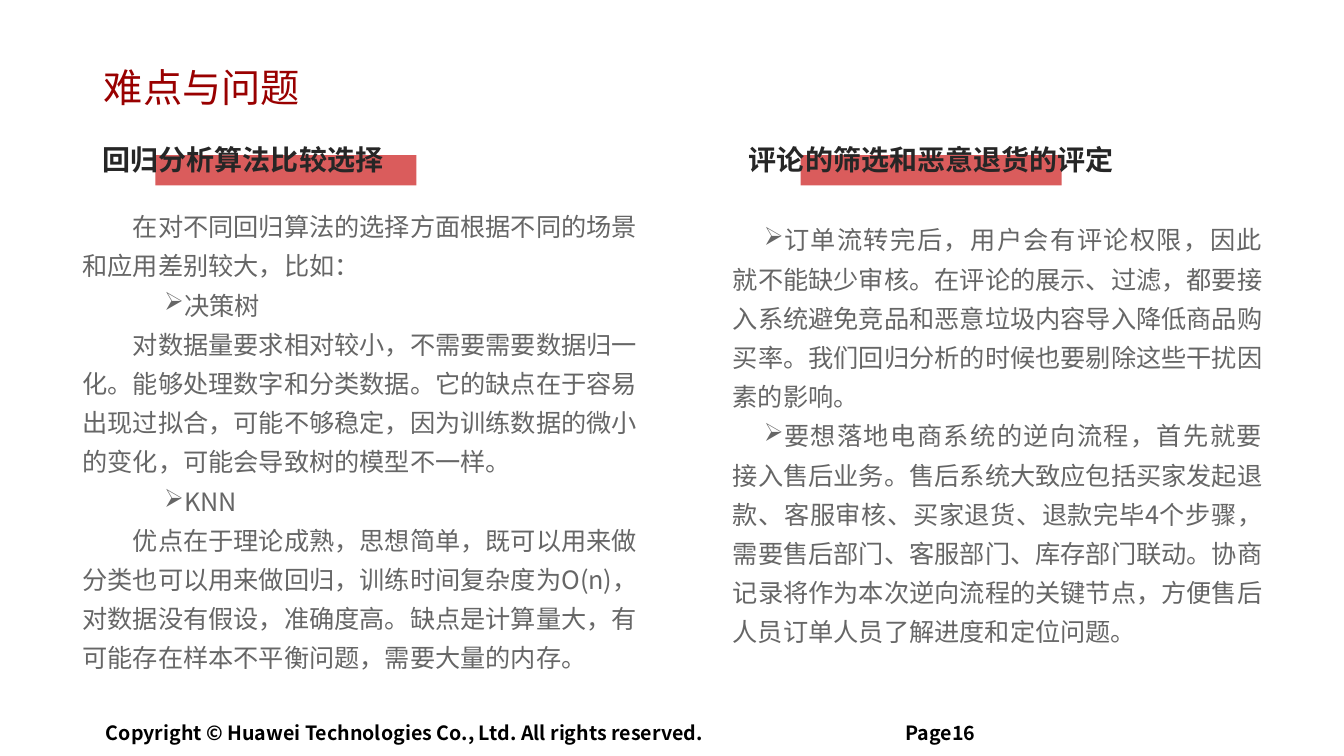
from pptx import Presentation
from pptx.dml.color import RGBColor
from pptx.enum.shapes import MSO_SHAPE
from pptx.enum.text import MSO_ANCHOR, MSO_AUTO_SIZE, PP_ALIGN
from pptx.oxml.ns import qn
from pptx.util import Inches, Pt
from lxml.etree import SubElement

FONT = "Noto Sans CJK SC"
TITLE_RED = RGBColor(0x99, 0x00, 0x00)
BAND_RED = RGBColor(0xDA, 0x5C, 0x5C)
HEADING_GREY = RGBColor(0x26, 0x26, 0x26)
BODY_GREY = RGBColor(0x66, 0x66, 0x66)
BLACK = RGBColor(0x00, 0x00, 0x00)

REGRESSION = [
    ("在对不同回归算法的选择方面根据不同的场景和应用差别较大，比如：", False),
    ("决策树", True),
    ("对数据量要求相对较小，不需要需要数据归一化。能够处理数字和分类数据。"
     "它的缺点在于容易出现过拟合，可能不够稳定，因为训练数据的微小的变化，"
     "可能会导致树的模型不一样。", False),
    ("KNN", True),
    ("优点在于理论成熟，思想简单，既可以用来做分类也可以用来做回归，"
     "训练时间复杂度为O(n)，对数据没有假设，准确度高。缺点是计算量大，"
     "有可能存在样本不平衡问题，需要大量的内存。", False),
]
REVIEWS = [
    ("订单流转完后，用户会有评论权限，因此就不能缺少审核。在评论的展示、过滤，"
     "都要接入系统避免竞品和恶意垃圾内容导入降低商品购买率。"
     "我们回归分析的时候也要剔除这些干扰因素的影响。", True),
    ("要想落地电商系统的逆向流程，首先就要接入售后业务。售后系统大致应包括"
     "买家发起退款、客服审核、买家退货、退款完毕4个步骤，需要售后部门、"
     "客服部门、库存部门联动。协商记录将作为本次逆向流程的关键节点，"
     "方便售后人员订单人员了解进度和定位问题。", True),
]


class SlideBuilder:
    def __init__(self, slide):
        self.slide = slide

    def style(self, paragraph, size, color, bold=False):
        font = paragraph.font
        font.name, font.size, font.bold = FONT, Pt(size), bold
        font.color.rgb = color
        defaults = paragraph._p.pPr.find(qn("a:defRPr"))
        SubElement(defaults, qn("a:ea")).set("typeface", FONT)

    def set_margins(self, frame):
        frame.margin_left = frame.margin_right = Inches(0.09)
        frame.margin_top = frame.margin_bottom = Inches(0.04)

    def title(self, text):
        title = self.slide.shapes.title
        title.left, title.top = Inches(0.94), Inches(0.39)
        title.width, title.height = Inches(11.58), Inches(0.95)
        frame = title.text_frame
        frame.text = text
        frame.auto_size = MSO_AUTO_SIZE.NONE
        frame.vertical_anchor = MSO_ANCHOR.MIDDLE
        self.set_margins(frame)
        paragraph = frame.paragraphs[0]
        paragraph.alignment = PP_ALIGN.LEFT
        self.style(paragraph, 28, TITLE_RED)

    def footer(self, text, left, width):
        box = self.slide.shapes.add_textbox(
            Inches(left), Inches(7.11), Inches(width), Inches(0.32))
        frame = box.text_frame
        frame.text = text
        frame.word_wrap = False
        self.set_margins(frame)
        self.style(frame.paragraphs[0], 14, BLACK, bold=True)

    def heading(self, text, left, width, band_left):
        """Place a bold heading over the red band behind it."""
        group = self.slide.shapes.add_group_shape()
        band = group.shapes.add_shape(
            MSO_SHAPE.RECTANGLE, Inches(band_left), Inches(1.54),
            Inches(2.59), Inches(0.3))
        band.shadow.inherit = False
        band.fill.solid()
        band.fill.fore_color.rgb = BAND_RED
        band.line.fill.background()
        label = group.shapes.add_textbox(
            Inches(left), Inches(1.36), Inches(width), Inches(0.44))
        frame = label.text_frame
        frame.text = text
        frame.word_wrap = True
        self.style(frame.paragraphs[0], 20, HEADING_GREY, bold=True)

    def body(self, items, left, top, height, indent, alignment):
        box = self.slide.shapes.add_textbox(
            Inches(left), Inches(top), Inches(5.76), Inches(height))
        frame = box.text_frame
        frame.word_wrap = True
        frame.text = "\n".join(text for text, _ in items)
        for paragraph, (_, bulleted) in zip(frame.paragraphs, items):
            paragraph.alignment = alignment
            paragraph.line_spacing = Pt(28)
            properties = paragraph._p.get_or_add_pPr()
            properties.set("marL", str(Inches(0.31 if bulleted else 0)))
            properties.set("indent", str(Inches(indent)))
            if bulleted:
                SubElement(properties, qn("a:buChar")).set("char", "➢")
            self.style(paragraph, 18, BODY_GREY)


def main():
    presentation = Presentation()
    presentation.slide_width = Inches(13.33)
    presentation.slide_height = Inches(7.5)
    builder = SlideBuilder(
        presentation.slides.add_slide(presentation.slide_layouts[5]))
    builder.footer(
        "Copyright © Huawei Technologies Co., Ltd. All rights reserved.",
        0.96, 6.38)
    builder.title("难点与问题")
    builder.footer("Page16", 8.89, 0.93)
    builder.body(REGRESSION, 0.72, 1.96, 5.95, 0.5, PP_ALIGN.LEFT)
    builder.body(REVIEWS, 6.86, 2.09, 4.78, 0.31, PP_ALIGN.JUSTIFY)
    builder.heading("回归分析算法比较选择", 0.92, 3.32, 1.54)
    builder.heading("评论的筛选和恶意退货的评定", 7.33, 3.86, 7.94)
    presentation.save("out.pptx")


if __name__ == "__main__":
    main()
